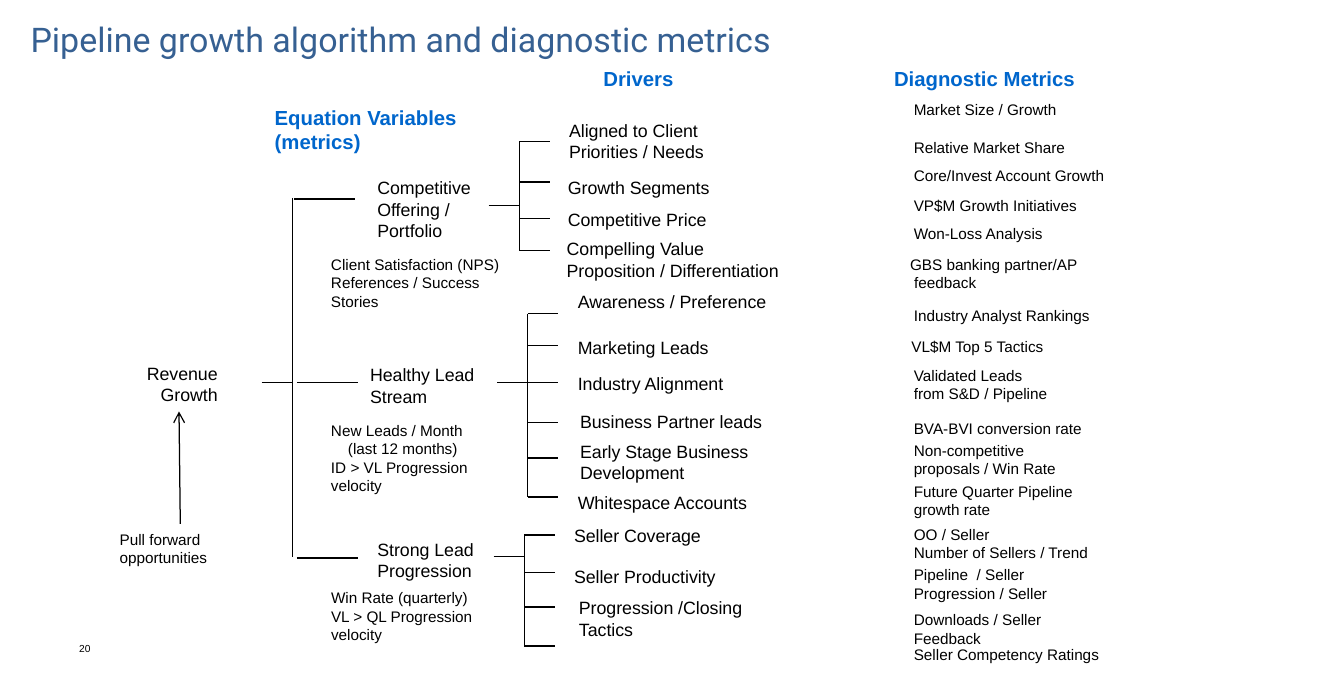
from dataclasses import dataclass

from lxml.etree import SubElement
from pptx import Presentation
from pptx.dml.color import RGBColor
from pptx.enum.shapes import MSO_CONNECTOR as Line
from pptx.enum.text import MSO_ANCHOR as Anchor, MSO_AUTO_SIZE as Fit, PP_ALIGN as Align
from pptx.oxml.ns import qn
from pptx.util import Pt


@dataclass(frozen=True)
class Theme:
    """Colours, fonts and type sizes of the slide."""
    ink: RGBColor = RGBColor(0, 0, 0)
    heading: RGBColor = RGBColor(0x00, 0x66, 0xCC)
    title: RGBColor = RGBColor(0x36, 0x60, 0x92)
    body_font: str = "Arial"
    title_font: str = "Roboto"
    title_size: float = 20
    heading_size: float = 12
    node_size: float = 10.5
    note_size: float = 9
    number_size: float = 6
    rule: float = 0.75


T = Theme()


def set_font(p, name, size, color, bold=False):
    """Format a whole paragraph."""
    p.font.name, p.font.size, p.font.bold = name, Pt(size), bold
    p.font.color.rgb = color


def add_text(s, x, y, w, text, size, lines=1, color=T.ink, bold=False, wrap=True):
    """Add a text box as tall as its lines, one paragraph per newline."""
    sp = s.shapes.add_textbox(Pt(x), Pt(y), Pt(w), Pt(7.2 + lines * size * 1.2))
    tf = sp.text_frame
    tf.text, tf.word_wrap, tf.auto_size = text, wrap, Fit.SHAPE_TO_FIT_TEXT
    for p in tf.paragraphs:
        set_font(p, T.body_font, size, color, bold)
    return sp


def add_line(s, x1, y1, x2, y2):
    """Add a thin line without a shadow."""
    c = s.shapes.add_connector(Line.STRAIGHT, Pt(x1), Pt(y1), Pt(x2), Pt(y2))
    c.line.color.rgb, c.line.width = T.ink, Pt(T.rule)
    SubElement(c._element.spPr, qn("a:effectLst"))
    return c


def indent(p, points):
    """Indent a paragraph from the left."""
    p._p.get_or_add_pPr().set("marL", str(Pt(points)))


def add_title(s, x, y, w, h, text):
    """Place and format the title placeholder."""
    sp = s.shapes.title
    sp.left, sp.top, sp.width, sp.height = Pt(x), Pt(y), Pt(w), Pt(h)
    tf = sp.text_frame
    tf.text, tf.word_wrap = text, True
    tf.auto_size, tf.vertical_anchor = Fit.NONE, Anchor.TOP
    p = tf.paragraphs[0]
    p.alignment, p.line_spacing = Align.LEFT, 0.9
    set_font(p, T.title_font, T.title_size, T.title)


def add_headings(s, x, y):
    """Add the three column headings."""
    for dx, dy, w, text, lines in (
        (0, 23, 183, "Equation Variables \v(metrics)", 2),
        (193.7, 0, 56.2, "Drivers", 1),
        (365, 0, 122.4, "Diagnostic Metrics", 1),
    ):
        add_text(s, x + dx, y + dy, w, text, T.heading_size, lines, T.heading, True, lines > 1)


def add_root(s, x, y):
    """Add the revenue root, its pull-forward arrow and the trunk."""
    root = add_text(s, x + 12.2, y + 93.6, 59.8, "Revenue Growth", T.node_size, 2)
    root.text_frame.paragraphs[0].alignment = Align.RIGHT
    pull = add_text(s, x, y + 192.3, 85.7, "Pull forward opportunities", T.note_size, 2)
    arrow = add_line(s, x, y, x, y)
    arrow.begin_connect(pull, 0)
    arrow.end_connect(root, 2)
    SubElement(arrow.line._get_or_add_ln(), qn("a:tailEnd"), type="arrow")
    trunk = x + 108.8
    add_line(s, trunk - 18, y + 108.8, trunk, y + 108.8)
    add_line(s, trunk, y, trunk, y + 211.7)


def add_branch(s, x, y, name, note, stub, stem, spine, teeth, drivers):
    """Add one equation variable with its note, bracket and drivers."""
    dx, dy, text, lines = name
    add_text(s, x + dx, y + dy, 80.6, text, T.node_size, lines)
    dy, w, text, lines = note
    note_box = add_text(s, x, y + dy, w, text, T.note_size, lines)
    dx, dy = stub
    add_line(s, x + dx, y + dy, x + dx + 36, y + dy)
    bar = x + spine
    add_line(s, bar - 18, y + stem, bar, y + stem)
    add_line(s, bar, y + teeth[-1], bar, y + teeth[0])
    for tooth in teeth:
        add_line(s, bar, y + tooth, bar + 18, y + tooth)
    for dx, dy, w, text, lines in drivers:
        add_text(s, x + dx, y + dy, w, text, T.node_size, lines)
    return note_box


def add_metrics(s, x, y, metrics):
    """Add the column of diagnostic metrics."""
    return [add_text(s, x + dx, y + dy, w, text, T.note_size, lines)
            for dx, dy, w, text, lines in metrics]


BRANCHES = (
    dict(y=67, name=(27.3, 33.8, "Competitive Offering / Portfolio", 3),
         note=(79.9, 116, "Client Satisfaction (NPS)\nReferences / Success Stories", 3),
         stub=(-14.5, 50.4), stem=54, spine=118, teeth=(16.5, 40.3, 61.9, 80.6),
         drivers=((140.3, 0, 112.3, "Aligned to Client Priorities / Needs", 2),
                  (139.6, 33.8, 112.3, "Growth Segments", 1),
                  (139.6, 52.5, 112.3, "Competitive Price", 1),
                  (138.9, 69.8, 148.3, "Compelling Value Proposition / Differentiation", 2))),
    dict(y=168, name=(23, 43, "Healthy Lead Stream", 2),
         note=(76.8, 110.2, "New Leads / Month\n(last 12 months)\nID > VL Progression velocity", 4),
         stub=(-13, 57.4), stem=57.4, spine=123, teeth=(17, 35.8, 57.4, 81.1, 102, 125),
         drivers=((145.4, 0, 126, "Awareness / Preference", 1),
                  (145.4, 27.1, 112.3, "Marketing Leads", 1),
                  (145.4, 48, 112.3, "Industry Alignment", 1),
                  (146.8, 70.3, 147, "Business Partner leads", 1),
                  (146.8, 88.3, 135.4, "Early Stage Business Development", 2),
                  (145.4, 118.6, 135.4, "Whitespace Accounts", 1))),
    dict(y=306, name=(27.3, 7.9, "Strong Lead Progression", 2),
         note=(37.4, 118, "Win Rate (quarterly)\nVL > QL Progression velocity", 3),
         stub=(-13, 23), stem=22.3, spine=120.9, teeth=(9.4, 31.7, 51.8, 74.9),
         drivers=((143.2, 0, 112.3, "Seller Coverage", 1),
                  (143.2, 23.8, 112.3, "Seller Productivity", 1),
                  (146.1, 42.5, 142.6, "Progression /Closing Tactics", 2))),
)

METRICS = (
    (0, 0, 112.3, "Market Size / Growth\nRelative Market Share", 3),
    (0, 38.9, 130.3, "Core/Invest Account Growth", 1),
    (0, 56.9, 157, "VP$M Growth Initiatives", 1),
    (0, 73.5, 112.3, "Won-Loss Analysis", 1),
    (-2.2, 91.5, 177, "GBS banking partner/AP\nfeedback", 2),
    (0, 121.7, 121, "Industry Analyst Rankings", 1),
    (-1.4, 139.7, 121.7, "VL$M Top 5 Tactics", 1),
    (0, 157, 94.3, "Validated Leads from S&D / Pipeline", 2),
    (0, 188, 130.3, "BVA-BVI conversion rate", 1),
    (0, 200.9, 103.7, "Non-competitive proposals / Win Rate", 2),
    (0, 225.4, 126, "Future Quarter Pipeline growth rate", 2),
    (0, 250.6, 126, "OO / Seller\nNumber of Sellers / Trend", 2),
    (0, 274.4, 94.3, "Pipeline  / Seller\nProgression / Seller", 2),
    (0, 301, 115, "Downloads / Seller Feedback", 2),
    (0, 321.2, 126, "Seller Competency Ratings", 1),
)


def main():
    """Build the slide and save it."""
    prs = Presentation()
    prs.slide_width, prs.slide_height = Pt(792), Pt(405)
    s = prs.slides.add_slide(prs.slide_layouts[5])
    add_title(s, 10.8, 10.1, 490.3, 30.2, "Pipeline growth algorithm and diagnostic metrics")
    add_headings(s, 154.8, 35.3)
    add_root(s, 63.4, 116.6)
    notes = [add_branch(s, 188, **branch) for branch in BRANCHES]
    indent(notes[1].text_frame.paragraphs[1], 10)
    boxes = add_metrics(s, 531.4, 55.4, METRICS)
    boxes[0].text_frame.paragraphs[1].space_before = Pt(11.5)
    indent(boxes[4].text_frame.paragraphs[1], 2.5)
    add_text(s, 39.6, 375.1, 185, "20", T.number_size)
    prs.save("out.pptx")


if __name__ == "__main__":
    main()
